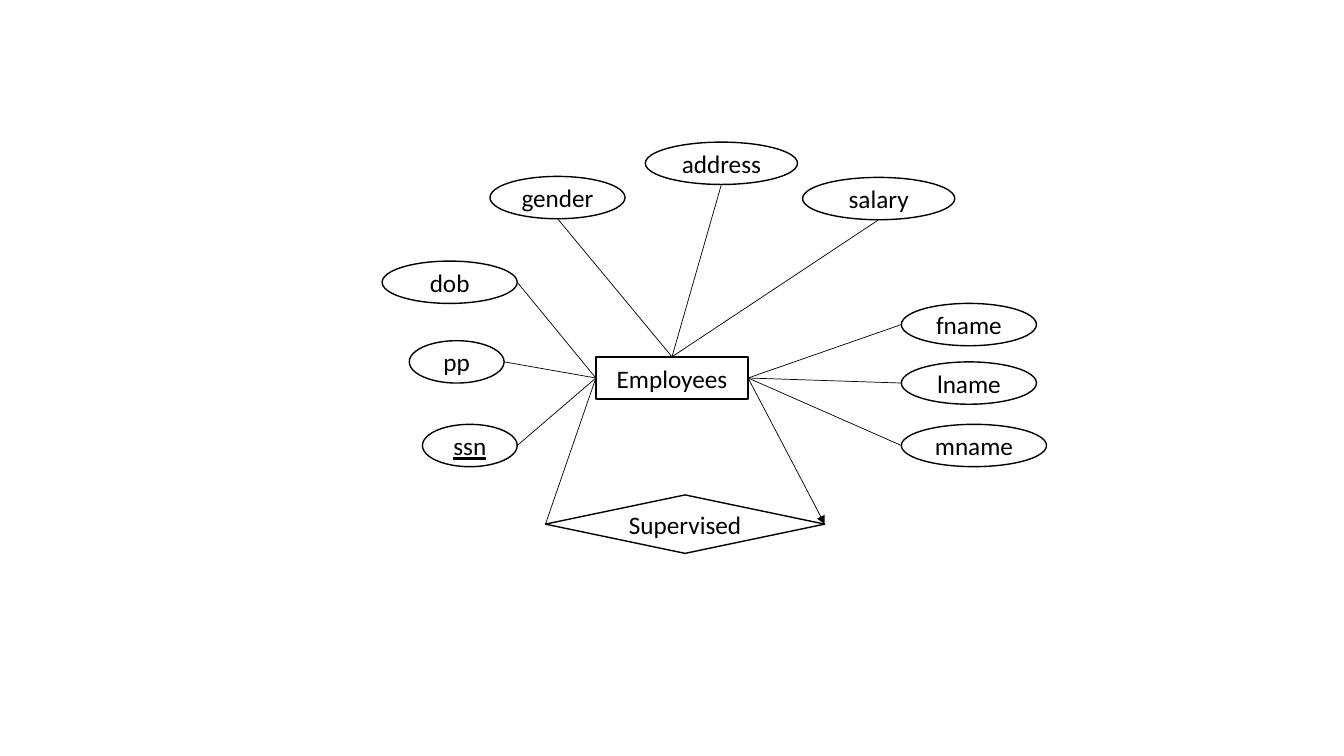
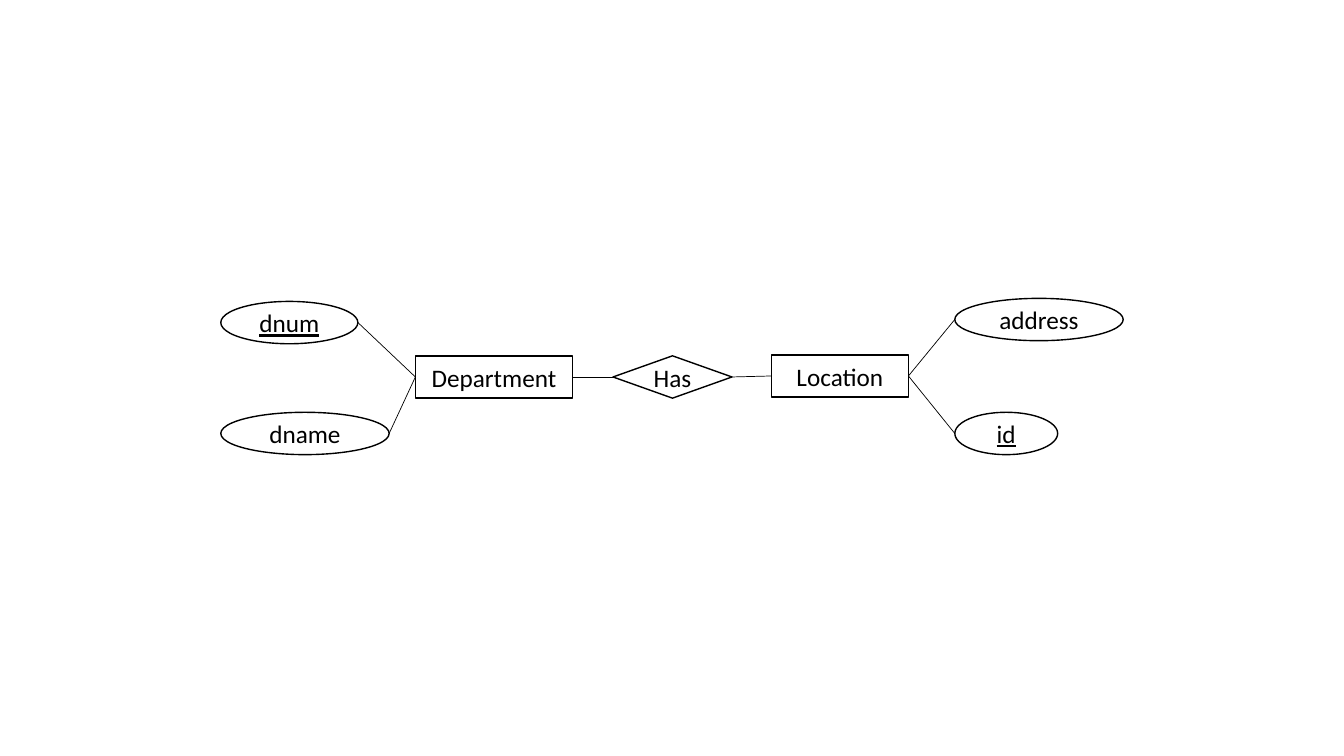
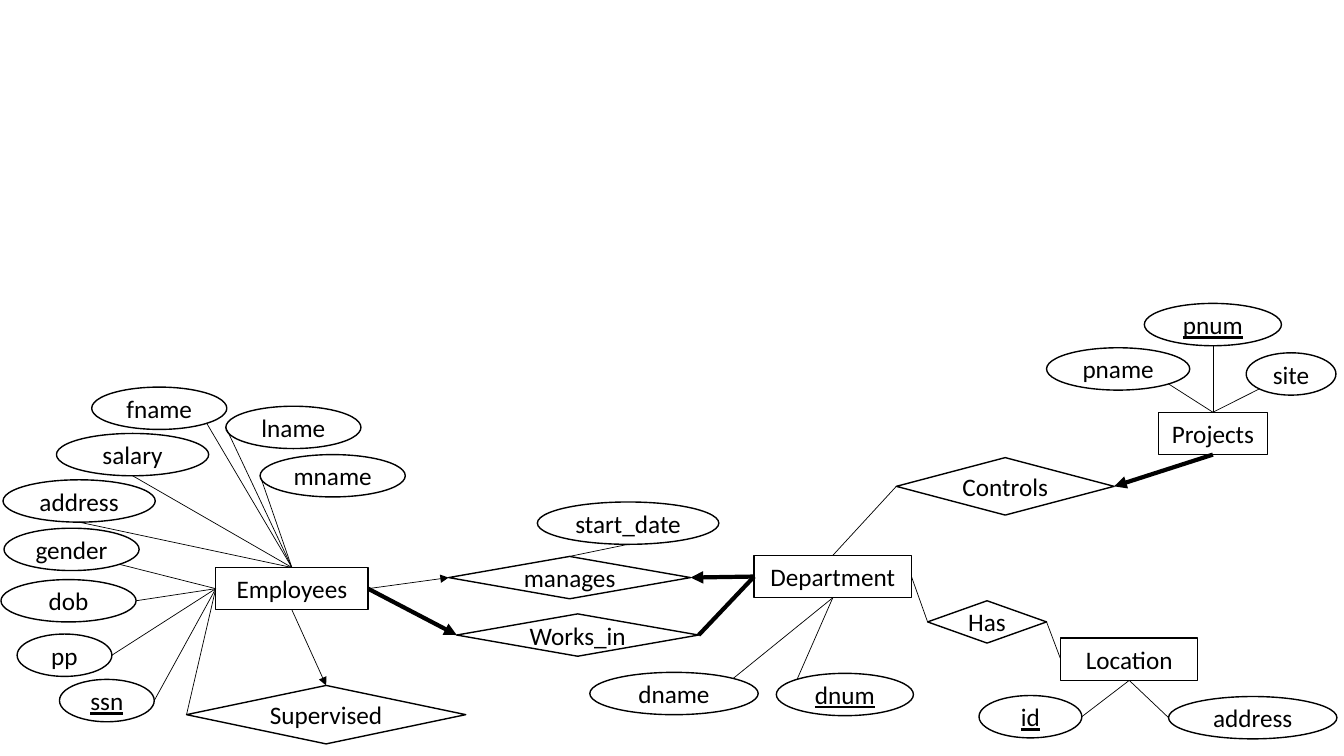
import pptx
import pptx.dml.color
import pptx.enum.shapes
import pptx.enum.text
import pptx.oxml.ns
import pptx.util
from lxml import etree
from pptx.util import Inches

INK = "000000"
PAPER = "FFFFFF"
FONT = "Calibri"
HEIGHT = 0.42
THIN, OUTLINE, THICK = 0.5, 1, 3

KINDS = pptx.enum.shapes.MSO_SHAPE
SITES = {
    "top": (0.5, 0), "bottom": (0.5, 1), "left": (0, 0.5), "right": (1, 0.5),
    "upper left": (0.15, 0.15), "upper right": (0.85, 0.15),
    "lower left": (0.15, 0.85), "lower right": (0.85, 0.85),
}
KEYS = {"ssn", "dnum", "id", "pnum"}
ENTITY_WIDTHS = {"Employees": 1.51, "Department": 1.56, "Location": 1.36, "Projects": 1.08}
ATTRIBUTE_WIDTHS = {
    "Employees": {"ssn": 0.94, "pp": 0.94, "dob": 1.34, "gender": 1.34, "address": 1.51,
                  "salary": 1.51, "fname": 1.34, "lname": 1.34, "mname": 1.44},
    "Department": {"dname": 1.67, "dnum": 1.36},
    "Location": {"id": 1.02, "address": 1.67},
    "Projects": {"pname": 1.42, "pnum": 1.36, "site": 0.89},
}
RELATION_SIZES = {
    "Supervised": (2.77, 0.58), "Has": (1.18, HEIGHT), "Works_in": (2.4, HEIGHT),
    "manages": (2.4, HEIGHT), "Controls": (2.16, 0.57),
}


def color(value):
    return pptx.dml.color.RGBColor.from_string(value)


def add_box(page, kind, name, left, top, width, height=HEIGHT):
    box = page.shapes.add_shape(kind, Inches(left), Inches(top), Inches(width), Inches(height))
    box.shadow.inherit = False
    box.fill.solid()
    box.fill.fore_color.rgb = color(PAPER)
    box.line.color.rgb = color(INK)
    box.line.width = pptx.util.Pt(OUTLINE)
    frame = box.text_frame
    frame.text = name
    frame.word_wrap = False
    frame.vertical_anchor = pptx.enum.text.MSO_ANCHOR.MIDDLE
    para = frame.paragraphs[0]
    para.alignment = pptx.enum.text.PP_ALIGN.CENTER
    font = para.runs[0].font
    font.name = FONT
    font.size = pptx.util.Pt(18)
    font.color.rgb = color(INK)
    if name in KEYS:
        font.underline = True
    return box


def site_point(box, site):
    across, down = SITES[site]
    return round(box.left + across * box.width), round(box.top + down * box.height)


def link(page, start, start_site, end, end_site, weight=THIN, arrow=False):
    line = page.shapes.add_connector(
        pptx.enum.shapes.MSO_CONNECTOR.STRAIGHT,
        *site_point(start, start_site), *site_point(end, end_site))
    line.line.color.rgb = color(INK)
    line.line.width = pptx.util.Pt(weight)
    if arrow:
        etree.SubElement(line.line._get_or_add_ln(), pptx.oxml.ns.qn("a:tailEnd"), type="triangle")
    etree.SubElement(line._element.spPr, pptx.oxml.ns.qn("a:effectLst"))


def add_entity(page, name, left, top, attributes):
    entity = add_box(page, KINDS.RECTANGLE, name, left, top, ENTITY_WIDTHS[name])
    for attribute, x, y, site, entity_site in attributes:
        oval = add_box(page, KINDS.OVAL, attribute, x, y, ATTRIBUTE_WIDTHS[name][attribute])
        link(page, oval, site, entity, entity_site)
    return entity


def add_relation(page, name, left, top):
    return add_box(page, KINDS.FLOWCHART_DECISION, name, left, top, *RELATION_SIZES[name])


def draw_supervision(page):
    employees = add_entity(page, "Employees", 5.91, 3.54, [
        ("ssn", 4.19, 4.21, "right", "left"),
        ("pp", 4.06, 3.38, "right", "left"),
        ("dob", 3.79, 2.59, "right", "left"),
        ("gender", 4.86, 1.75, "bottom", "top"),
        ("address", 6.4, 1.41, "bottom", "top"),
        ("salary", 7.96, 1.76, "bottom", "top"),
        ("fname", 8.94, 3.01, "left", "right"),
        ("lname", 8.94, 3.59, "left", "right"),
        ("mname", 8.94, 4.21, "left", "right"),
    ])
    supervised = add_relation(page, "Supervised", 5.41, 4.91)
    link(page, supervised, "left", employees, "left")
    link(page, employees, "right", supervised, "right", arrow=True)


def draw_locations(page):
    department = add_entity(page, "Department", 4.12, 3.53, [
        ("dname", 2.19, 4.09, "right", "left"),
        ("dnum", 2.19, 2.99, "right", "left"),
    ])
    location = add_entity(page, "Location", 7.65, 3.52, [
        ("id", 9.47, 4.09, "left", "right"),
        ("address", 9.47, 2.96, "left", "right"),
    ])
    has = add_relation(page, "Has", 6.08, 3.53)
    link(page, department, "right", has, "left")
    link(page, has, "right", location, "left")


def draw_company(page):
    employees = add_entity(page, "Employees", 2.14, 5.63, [
        ("ssn", 0.59, 6.74, "right", "left"),
        ("pp", 0.17, 6.29, "right", "left"),
        ("dob", 0.01, 5.75, "right", "left"),
        ("gender", 0.04, 5.24, "lower right", "left"),
        ("address", 0.03, 4.76, "bottom", "top"),
        ("salary", 0.56, 4.3, "bottom", "top"),
        ("fname", 0.91, 3.84, "lower right", "top"),
        ("lname", 2.24, 4.03, "left", "top"),
        ("mname", 2.58, 4.51, "left", "top"),
    ])
    department = add_entity(page, "Department", 7.48, 5.51, [
        ("dname", 5.85, 6.67, "upper right", "bottom"),
        ("dnum", 7.7, 6.68, "upper left", "bottom"),
    ])
    location = add_entity(page, "Location", 10.52, 6.33, [
        ("id", 9.71, 6.9, "right", "bottom"),
        ("address", 11.59, 6.91, "left", "bottom"),
    ])
    projects = add_entity(page, "Projects", 11.49, 4.09, [
        ("pname", 10.38, 3.45, "lower right", "top"),
        ("pnum", 11.35, 3.01, "bottom", "top"),
        ("site", 12.36, 3.5, "lower left", "top"),
    ])
    supervised = add_relation(page, "Supervised", 1.85, 6.8)
    has = add_relation(page, "Has", 9.2, 5.96)
    works_in = add_relation(page, "Works_in", 4.53, 6.09)
    manages = add_relation(page, "manages", 4.45, 5.52)
    controls = add_relation(page, "Controls", 8.89, 4.54)
    start_date = add_box(page, KINDS.OVAL, "start_date", 5.33, 4.98, 1.8)

    link(page, supervised, "left", employees, "left")
    link(page, employees, "bottom", supervised, "top", arrow=True)
    link(page, department, "right", has, "left")
    link(page, has, "right", location, "left")
    link(page, employees, "right", works_in, "left", THICK, arrow=True)
    link(page, works_in, "right", department, "left", THICK)
    link(page, department, "left", manages, "right", THICK, arrow=True)
    link(page, employees, "right", manages, "left", arrow=True)
    link(page, manages, "top", start_date, "bottom")
    link(page, department, "top", controls, "left")
    link(page, projects, "bottom", controls, "right", THICK, arrow=True)


def main():
    deck = pptx.Presentation()
    deck.slide_width = Inches(13.33)
    deck.slide_height = Inches(7.5)
    for draw in (draw_supervision, draw_locations, draw_company):
        draw(deck.slides.add_slide(deck.slide_layouts[6]))
    deck.save("out.pptx")


main()
